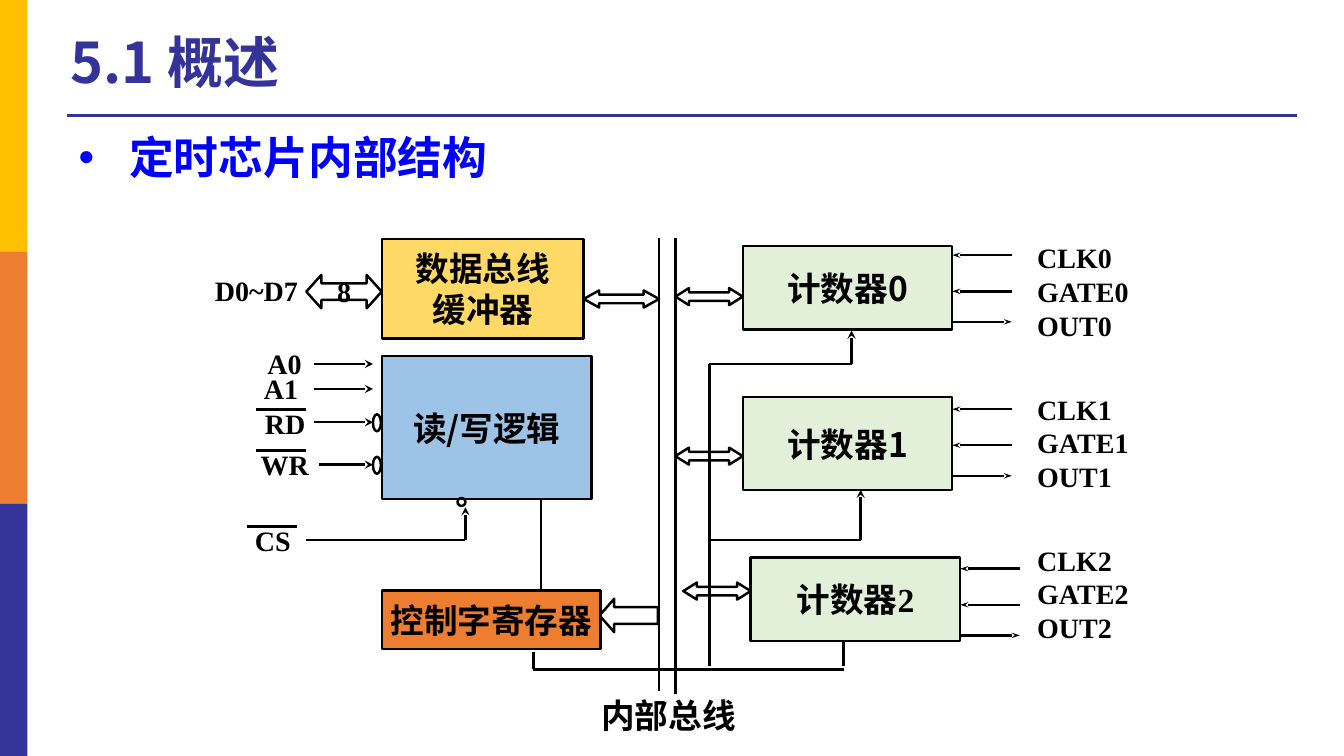
from dataclasses import dataclass

import pptx
import pptx.dml.color
import pptx.enum.shapes
import pptx.enum.text
import pptx.oxml.ns
import pptx.oxml.xmlchemy
import pptx.util

Cm = pptx.util.Cm
SHAPES = pptx.enum.shapes.MSO_SHAPE
ALIGN = pptx.enum.text.PP_ALIGN
ANCHOR = pptx.enum.text.MSO_ANCHOR
qn = pptx.oxml.ns.qn


@dataclass(frozen=True)
class Theme:
    sans: str = "Noto Sans CJK SC"
    serif: str = "Times New Roman"
    ink: str = "000000"
    navy: str = "333399"
    blue: str = "0000FF"
    gold: str = "FFC000"
    orange: str = "ED7D31"
    buffer: str = "FFD966"
    logic: str = "9DC3E6"
    counter: str = "E2F0D9"
    title_size: int = 40
    topic_size: int = 32
    block_size: int = 24
    signal_size: int = 20
    rule: float = 2.25
    bar: float = 2
    wire: float = 1.75


THEME = Theme()


def rgb(color):
    return pptx.dml.color.RGBColor.from_string(color)


def add_element(parent, tag, **attributes):
    element = parent.makeelement(qn(tag), attributes)
    parent.append(element)
    return element


def format_paragraph(paragraph, size, face, color=THEME.ink, align=ALIGN.CENTER):
    paragraph.alignment = align
    paragraph.space_before = pptx.util.Pt(0)
    font = paragraph.font
    font.size = pptx.util.Pt(size)
    font.bold = True
    font.color.rgb = rgb(color)
    font.name = face
    properties = paragraph._p.pPr.find(qn("a:defRPr"))
    add_element(properties, "a:ea", typeface=THEME.sans)


def fill_text(shape, text, size, face, align=ALIGN.CENTER,
              anchor=ANCHOR.MIDDLE, wrap=False):
    frame = shape.text_frame
    frame.margin_left = frame.margin_right = 0
    frame.margin_top = frame.margin_bottom = 0
    frame.vertical_anchor = anchor
    frame.word_wrap = wrap
    frame.text = text
    for paragraph in frame.paragraphs:
        format_paragraph(paragraph, size, face, align=align)


def add_figure(slide, kind, left, top, width, height, fill=None,
               outline=True, adjustments=()):
    shape = slide.shapes.add_shape(kind, Cm(left), Cm(top), Cm(width), Cm(height))
    shape.shadow.inherit = False
    if fill:
        shape.fill.solid()
        shape.fill.fore_color.rgb = rgb(fill)
    else:
        shape.fill.background()
    if outline:
        shape.line.color.rgb = rgb(THEME.ink)
        shape.line.width = pptx.util.Pt(THEME.wire)
    else:
        shape.line.fill.background()
    for index, value in enumerate(adjustments):
        shape.adjustments[index] = value
    return shape


def add_block(slide, text, left, top, width, height, fill, face=THEME.sans):
    shape = add_figure(slide, SHAPES.RECTANGLE, left, top, width, height, fill)
    fill_text(shape, text, THEME.block_size, face)


def add_label(slide, text, left, top, width, height=0.84, size=THEME.signal_size,
              face=THEME.serif, align=ALIGN.CENTER):
    box = slide.shapes.add_textbox(Cm(left), Cm(top), Cm(width), Cm(height))
    fill_text(box, text, size, face, align, ANCHOR.TOP, wrap=True)


def add_line(slide, start, end, width=THEME.wire, color=THEME.ink, arrow=None):
    """Draw a line; arrow gives the width class of a stealth head at the end."""
    line = slide.shapes.add_connector(
        pptx.enum.shapes.MSO_CONNECTOR.STRAIGHT,
        Cm(start[0]), Cm(start[1]), Cm(end[0]), Cm(end[1]))
    line.line.color.rgb = rgb(color)
    line.line.width = pptx.util.Pt(width)
    if arrow:
        add_element(line.line._get_or_add_ln(), "a:tailEnd",
                    type="stealth", w=arrow, len="med")
    add_element(line._element.spPr, "a:effectLst")


def add_frame(slide):
    add_line(slide, (1.7, 2.92), (32.69, 2.92), THEME.rule, THEME.navy)
    for index, color in enumerate((THEME.gold, THEME.orange, THEME.navy)):
        add_figure(slide, SHAPES.RECTANGLE, 0, index * 6.35, 0.69, 6.35,
                   color, outline=False)


def fill_placeholder(shape, text, left, top, size, face, color, bullet=False):
    shape.left, shape.top = Cm(left), Cm(top)
    shape.width, shape.height = Cm(25.17), Cm(2.21)
    frame = shape.text_frame
    frame.text = text
    frame.vertical_anchor = ANCHOR.MIDDLE
    frame.auto_size = pptx.enum.text.MSO_AUTO_SIZE.NONE
    paragraph = frame.paragraphs[0]
    paragraph.line_spacing = 0.9
    if bullet:
        paragraph.space_before = pptx.util.Pt(0)
        properties = paragraph._p.get_or_add_pPr()
        properties.set("marL", str(Cm(1.27)))
        properties.set("indent", str(-Cm(1.27)))
        add_element(properties, "a:buFont", typeface="Arial")
        add_element(properties, "a:buChar", char="•")
    format_paragraph(paragraph, size, face, color, ALIGN.LEFT)


def add_data_buffer(slide):
    add_block(slide, "数据总线\n缓冲器", 9.63, 6.02, 5.08, 2.51, THEME.buffer)
    arrow = add_figure(slide, SHAPES.LEFT_RIGHT_ARROW, 7.72, 6.93, 1.9, 0.84,
                       adjustments=(0.5, 0.45))
    fill_text(arrow, "8", THEME.signal_size, THEME.serif)
    add_label(slide, "D0~D7", 5.41, 6.88, 2.11)


def add_control_wires(slide):
    spine = 17.88
    add_line(slide, (spine, 16.79), (spine, 9.17))
    add_line(slide, (13.44, 16.87), (21.26, 16.87))
    add_line(slide, (21.26, 16.79), (21.26, 15.95), arrow="sm")
    for corner, level, tip in ((21.46, 9.17, 8.33), (21.69, 13.61, 12.34)):
        add_line(slide, (spine, level), (corner, level))
        add_line(slide, (corner, level), (corner, tip), arrow="med")


def add_internal_bus(slide):
    for x, bottom in ((16.61, 17.42), (17.02, 17.5)):
        add_line(slide, (x, 5.99), (x, bottom))
    add_figure(slide, SHAPES.LEFT_RIGHT_ARROW, 14.71, 7.32, 1.9, 0.43,
               adjustments=(0.5, 0.9))
    add_figure(slide, SHAPES.LEFT_ARROW, 15.11, 15.09, 1.47, 0.84,
               adjustments=(0.5, 0.44))
    add_label(slide, "内部总线", 15.11, 17.5, 3.48, 1.02, THEME.block_size, THEME.sans)


def add_counter(slide, number, left, top, height, arrow_top, pin_top, face):
    width = 5.28
    add_figure(slide, SHAPES.LEFT_RIGHT_ARROW, left - 1.7, arrow_top, 1.7, 0.43,
               adjustments=(0.5, 0.8))
    add_block(slide, f"计数器{number}", left, top, width, height, THEME.counter, face)
    inner, outer = left + width, left + width + 1.5
    pins = (("CLK", 0, True), ("GATE", 0.91, True), ("OUT", 1.68, False))
    for row, (name, offset, is_input) in enumerate(pins):
        add_label(slide, f"{name}{number}", 26.14, 6.07 + number * 3.81 + row * 0.85,
                  2.97, align=ALIGN.LEFT)
        y = pin_top + offset
        start, end = (outer, inner) if is_input else (inner, outer)
        add_line(slide, (start, y), (end, y), arrow="sm")


def add_read_write_logic(slide):
    add_block(slide, "读/写逻辑", 9.63, 8.97, 5.28, 3.61, THEME.logic)
    # Signal names: text, left, top, width
    for label in (("A0", 6.22, 8.74, 1.9), ("A1", 6.45, 9.37, 1.27),
                  ("RD", 6.45, 10.24, 1.47), ("WR", 6.12, 11.28, 2.11),
                  ("CS", 5.82, 13.18, 2.11)):
        add_label(slide, *label)
    # Bars over the active-low signals
    for left, y in ((6.45, 10.31), (6.45, 11.35), (6.22, 13.26)):
        add_line(slide, (left, y), (left + 1.27, y), THEME.bar)
    # Input arrows and inversion circles
    for left, y in ((7.92, 9.17), (7.92, 9.8), (7.92, 10.64), (8.05, 11.71)):
        add_line(slide, (left, y), (9.4, y), arrow="med")
    for left, top, height in ((9.4, 10.44, 0.43), (9.4, 11.51, 0.43), (11.53, 12.55, 0.2)):
        add_figure(slide, SHAPES.OVAL, left, top, 0.2, height)
    add_line(slide, (7.72, 13.61), (11.73, 13.61))
    add_line(slide, (11.73, 13.61), (11.73, 12.78), arrow="med")


def add_control_register(slide):
    add_block(slide, "控制字寄存器", 9.63, 14.88, 5.51, 1.47, THEME.orange)
    add_line(slide, (13.64, 12.55), (13.64, 14.88))
    add_line(slide, (13.44, 16.43), (13.44, 16.87), THEME.bar)


def main():
    presentation = pptx.Presentation()
    presentation.slide_width, presentation.slide_height = Cm(33.87), Cm(19.05)
    slide = presentation.slides.add_slide(presentation.slide_layouts[1])
    add_frame(slide)
    fill_placeholder(slide.shapes.title, "5.1 概述", 1.52, 0.53,
                     THEME.title_size, THEME.sans, THEME.navy)
    fill_placeholder(slide.placeholders[1], "定时芯片内部结构", 1.73, 2.92,
                     THEME.topic_size, THEME.serif, THEME.blue, bullet=True)
    add_data_buffer(slide)
    add_control_wires(slide)
    add_internal_bus(slide)
    add_counter(slide, 0, 18.72, 6.2, 2.11, 7.26, 6.43, THEME.sans)
    add_counter(slide, 1, 18.72, 10.01, 2.34, 11.28, 10.31, THEME.sans)
    add_counter(slide, 2, 18.92, 14.05, 2.11, 14.68, 14.33, THEME.serif)
    add_read_write_logic(slide)
    add_control_register(slide)
    presentation.save("out.pptx")


if __name__ == "__main__":
    main()
